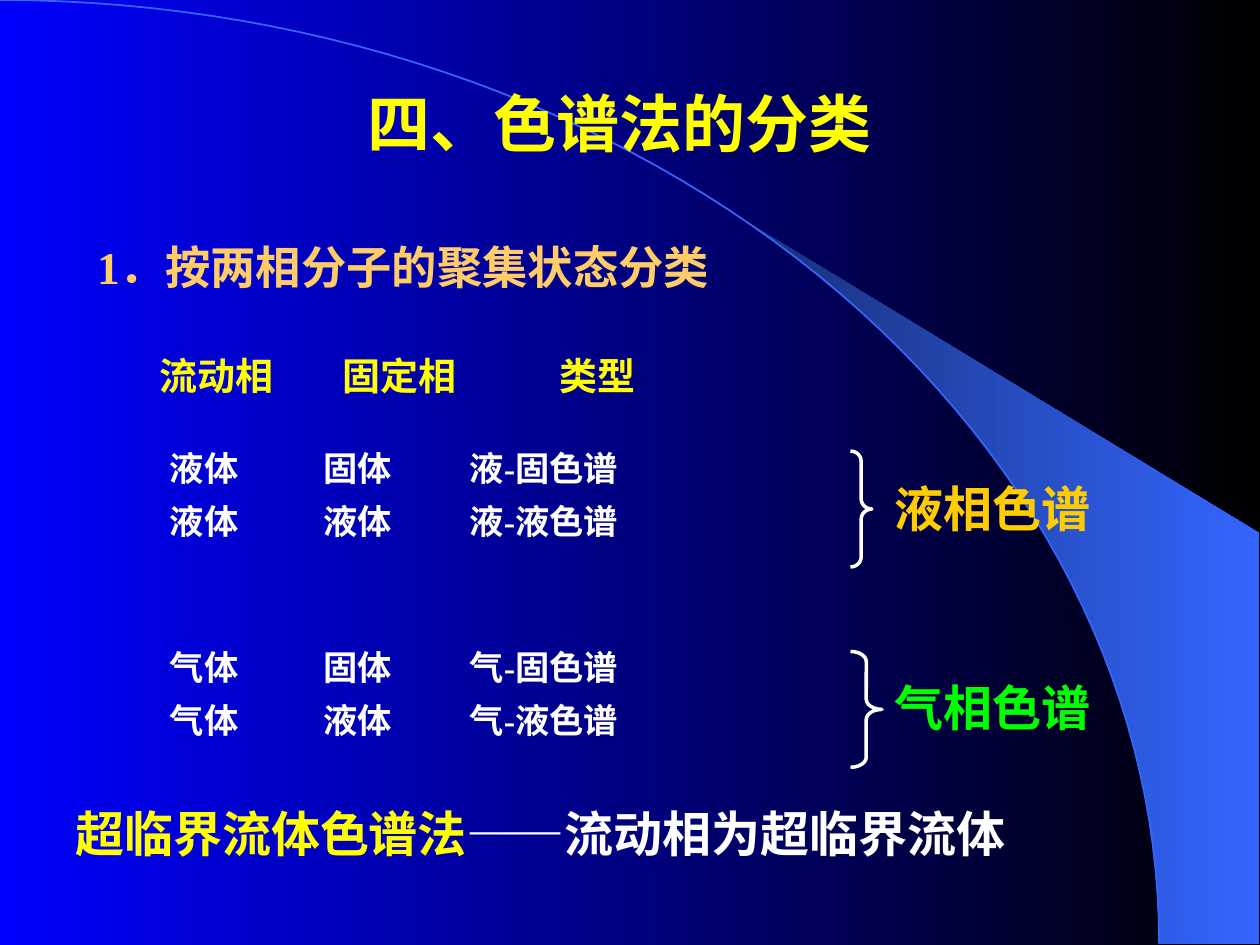
import math
import pptx
import pptx.util
import pptx.dml.color
import pptx.enum.shapes
import pptx.enum.text
import pptx.oxml
import pptx.oxml.ns

Inches, Pt = pptx.util.Inches, pptx.util.Pt
RGB = pptx.dml.color.RGBColor
ALIGN = pptx.enum.text.PP_ALIGN
ANCHOR = pptx.enum.text.MSO_ANCHOR

BLUE, BLACK = RGB(0, 0, 0xFF), RGB(0, 0, 0)
NAVY, SKY = RGB(0x18, 0x2F, 0x76), RGB(0x33, 0x66, 0xFF)
YELLOW, WHITE = RGB(0xFF, 0xFF, 0), RGB(0xFF, 0xFF, 0xFF)
PEACH, GOLD, GREEN = RGB(0xFF, 0xCC, 0x66), RGB(0xFF, 0xCC, 0), RGB(0, 0xFF, 0)
SERIF = "Times New Roman"

TITLE = "四、色谱法的分类"
TOPIC = "1．按两相分子的聚集状态分类"
HEADS = ["流动相", "固定相", "类型"]
GROUPS = [
    {"rows": [["液体", "固体", "液-固色谱"], ["液体", "液体", "液-液色谱"]],
     "label": "液相色谱", "color": GOLD, "top": 3.5, "brace": (3.58, 0.17)},
    {"rows": [["气体", "固体", "气-固色谱"], ["气体", "液体", "气-液色谱"]],
     "label": "气相色谱", "color": GREEN, "top": 5.08, "brace": (5.17, 0.25)},
]
CLOSING = [("超临界流体色谱法", YELLOW), ("——流动相为超临界流体", WHITE)]

ARC_W, ARC_H = 9.2, 7.49
EDGE, CORNER = 9.99, 4.23
BEND = 0.08


def style(obj, fmt):
    for key, val in fmt.items():
        setattr(obj, key, val)


def write(frame, lines, size, tabs=(), font=SERIF, **fmt):
    """Fill a text frame; each line is a list of (text, colour) runs."""
    style(frame, {"word_wrap": True, "auto_size": pptx.enum.text.MSO_AUTO_SIZE.NONE})
    for i, runs in enumerate(lines):
        para = frame.add_paragraph() if i else frame.paragraphs[0]
        style(para, {"space_before": Pt(7 if i else 0), **fmt})
        if tabs:
            props = para._p.get_or_add_pPr()
            stops = pptx.oxml.ns.qn("a:tabLst")
            stops = props.makeelement(stops, {})
            for pos in tabs:
                stop = stops.makeelement(pptx.oxml.ns.qn("a:tab"),
                                         {"pos": str(Inches(pos)), "algn": "l"})
                stops.append(stop)
            props.append(stops)
        for text, color in runs:
            run = para.add_run()
            run.text = text
            style(run.font, {"name": font, "size": Pt(size), "bold": True})
            run.font.color.rgb = color


def place(shape, box):
    style(shape, dict(zip(("left", "top", "width", "height"), map(Inches, box))))


def add_text(slide, box, lines, size, **fmt):
    shape = slide.shapes.add_textbox(*map(Inches, box))
    write(shape.text_frame, lines, size, **fmt)


def shade(fill, start, end):
    fill.gradient()
    fill.gradient_angle = 0
    for stop, color in zip(fill.gradient_stops, (start, end)):
        stop.color.rgb = color


def arc(start, steps=60):
    """Points on the quarter ellipse, from angle start to its foot."""
    turns = [start + (math.pi / 2 - start) * i / steps for i in range(steps + 1)]
    return [(ARC_W * math.sin(t), ARC_H * (1 - math.cos(t))) for t in turns]


def outline(slide, points, close):
    points = [(Inches(x), Inches(y)) for x, y in points]
    build = slide.shapes.build_freeform(*points[0])
    build.add_line_segments(points[1:], close=close)
    shape = build.convert_to_shape()
    shape.shadow.inherit = False
    return shape


def stroke(shape, color, width):
    shape.fill.background()
    shape.line.color.rgb = color
    shape.line.width = Pt(width)


def add_group(slide, group):
    rows = [[("\t".join(row), WHITE)] for row in group["rows"]]
    add_text(slide, (1.25, group["top"], 5.6, 1), rows, 19.6, tabs=(1.22, 2.38))
    top, width = group["brace"]
    brace = slide.shapes.add_shape(pptx.enum.shapes.MSO_SHAPE.RIGHT_BRACE,
                                   *map(Inches, (6.75, top, width, 0.92)))
    brace.shadow.inherit = False
    brace.adjustments[0] = BEND / width
    stroke(brace, WHITE, 2)
    add_text(slide, (7, group["top"] + 0.25, 1.83, 0.58),
             [[(group["label"], group["color"])]], 28)


def main():
    deck = pptx.Presentation()
    style(deck, {"slide_width": Inches(10), "slide_height": Inches(7.5)})
    slide = deck.slides.add_slide(deck.slide_layouts[1])
    shade(slide.background.fill, BLUE, BLACK)

    wedge = outline(slide, arc(math.asin(0.64)) + [(EDGE, ARC_H), (EDGE, CORNER)], True)
    shade(wedge.fill, NAVY, SKY)
    wedge.line.fill.background()
    stroke(outline(slide, arc(0), False), SKY, 1)

    title, body = slide.placeholders
    tree = slide.shapes._spTree
    for shape in (title, body):
        tree.append(shape._element)
    place(title, (0.67, 0.58, 8.5, 0.78))
    title.text_frame.vertical_anchor = ANCHOR.MIDDLE
    write(title.text_frame, [[(TITLE, YELLOW)]], 36, font="Arial", alignment=ALIGN.CENTER)

    place(body, (0.67, 1.33, 8.5, 1.08))
    style(body.text_frame, {"vertical_anchor": ANCHOR.BOTTOM, "margin_bottom": Inches(0.08)})
    write(body.text_frame, [[(TOPIC, PEACH)]], 25.9, line_spacing=0.8)
    props = body.text_frame.paragraphs[0]._p.get_or_add_pPr()
    style_none = props.makeelement(pptx.oxml.ns.qn("a:buNone"), {})
    props.append(style_none)
    for key in ("marL", "indent"):
        props.set(key, "0")

    add_text(slide, (1.17, 2.75, 5.33, 0.5), [[("\t".join(HEADS), YELLOW)]],
             21.7, tabs=(1.45, 3.17))
    for group in GROUPS:
        add_group(slide, group)
    add_text(slide, (0.5, 6.33, 8.25, 0.57), [CLOSING], 28)
    deck.save("out.pptx")


if __name__ == "__main__":
    main()
